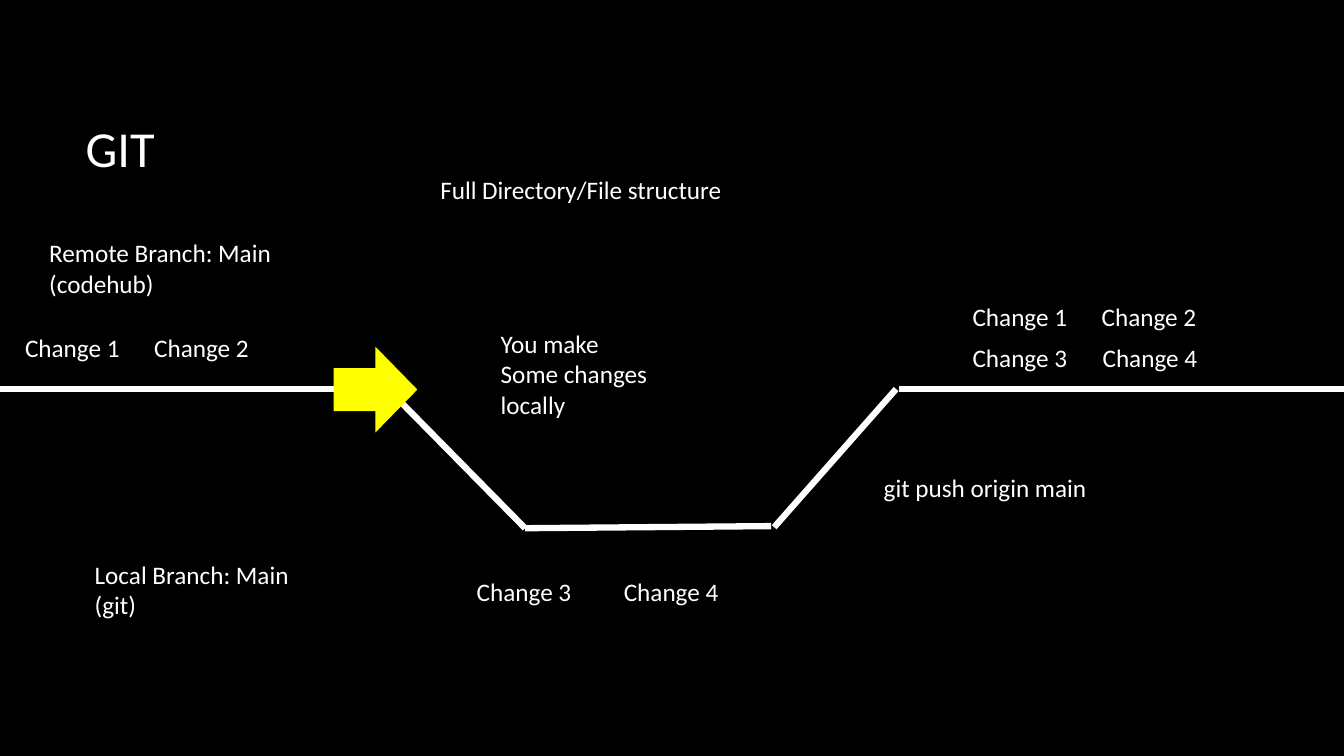
from pptx import Presentation
from pptx.dml.color import RGBColor
from pptx.enum import shapes, text
from pptx.oxml.ns import qn
from pptx.util import Pt
from lxml import etree

FONT = "Calibri"
WHITE, BLACK, YELLOW = "FFFFFF", "000000", "FFFF00"
LINE_HEIGHT = 21.8
CHANGE_WIDTH = 82.8

# (left, top, width, lines)
LABELS = [
    (28.1, 166.3, 175, "Remote Branch: Main\n(codehub)"),
    (60.5, 396, 154.8, "Local Branch: Main\n(git)"),
    (307.4, 121, 217.4, "Full Directory/File structure"),
    (350.6, 231.1, 120.2, "You make\nSome changes\nlocally"),
    (624.2, 334.1, 161.3, "git push origin main"),
]

# (left, top, spacing, change numbers)
CHANGE_ROWS = [
    (10.8, 234, 92.2, (1, 2)),
    (333.4, 407.9, 105.1, (3, 4)),
    (687.6, 211.7, 92.2, (1, 2)),
    (687.6, 241.2, 92.9, (3, 4)),
]

# (x1, y1, x2, y2)
BRANCH_LINES = [
    (0, 277.9, 275.8, 277.9),
    (276.5, 277.2, 375.1, 377.3),
    (375.1, 377.3, 550.8, 375.8),
    (640.1, 277.9, 553, 376.6),
    (642.2, 277.9, 960, 277.9),
]


def rgb(value):
    return RGBColor.from_string(value)


def style_text(tf, size):
    for p in tf.paragraphs:
        p.alignment = text.PP_ALIGN.LEFT
        p.font.name = FONT
        p.font.size = Pt(size)
        p.font.color.rgb = rgb(WHITE)


def set_title(slide, words):
    sp = slide.shapes.title
    sp.left, sp.top, sp.width, sp.height = Pt(54), Pt(48.2), Pt(797.8), Pt(114.5)
    tf = sp.text_frame
    tf.text = words
    tf.vertical_anchor = text.MSO_ANCHOR.MIDDLE
    style_text(tf, 36)


def add_label(slide, left, top, width, words):
    height = 7.2 + LINE_HEIGHT * len(words.split("\n"))
    sp = slide.shapes.add_textbox(Pt(left), Pt(top), Pt(width), Pt(height))
    tf = sp.text_frame
    tf.text = words
    tf.word_wrap = False
    tf.auto_size = text.MSO_AUTO_SIZE.SHAPE_TO_FIT_TEXT
    style_text(tf, 18)


def add_branch_line(slide, *ends):
    line = slide.shapes.add_connector(
        shapes.MSO_CONNECTOR.STRAIGHT, *(Pt(v) for v in ends))
    line.line.color.rgb = rgb(WHITE)
    line.line.width = Pt(4.5)
    etree.SubElement(line._element.spPr, qn("a:effectLst"))


def add_arrow(slide, left, top, width, height):
    sp = slide.shapes.add_shape(
        shapes.MSO_SHAPE.RIGHT_ARROW, Pt(left), Pt(top), Pt(width), Pt(height))
    sp.shadow.inherit = False
    sp.fill.solid()
    sp.fill.fore_color.rgb = rgb(YELLOW)
    sp.line.fill.background()


def main():
    prs = Presentation()
    prs.slide_width, prs.slide_height = Pt(960), Pt(540)
    slide = prs.slides.add_slide(prs.slide_layouts[5])
    slide.background.fill.solid()
    slide.background.fill.fore_color.rgb = rgb(BLACK)

    set_title(slide, "GIT")
    for ends in BRANCH_LINES:
        add_branch_line(slide, *ends)
    add_arrow(slide, 238.3, 247.7, 59.8, 61.2)
    for label in LABELS:
        add_label(slide, *label)
    for left, top, spacing, numbers in CHANGE_ROWS:
        for i, number in enumerate(numbers):
            add_label(slide, left + i * spacing, top, CHANGE_WIDTH, f"Change {number}")

    prs.save("out.pptx")


if __name__ == "__main__":
    main()
